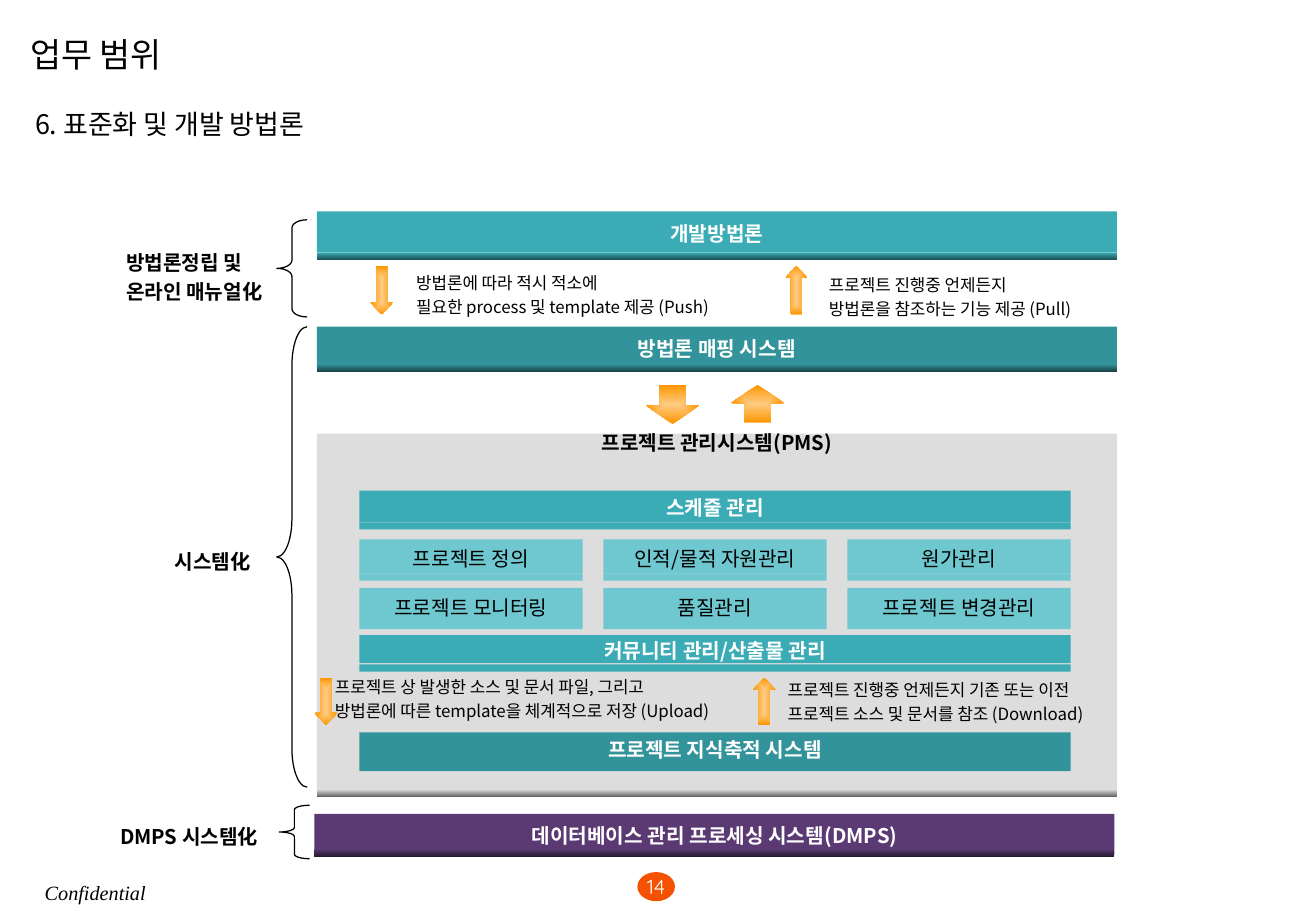
from dataclasses import dataclass

from lxml import etree
from pptx import Presentation
from pptx import util as u
from pptx.dml import color
from pptx.enum import shapes, text
from pptx.oxml import ns

SANS = "Noto Sans CJK KR"
TEAL, DEEP, PALE = "3BACB5", "32939A", "6FC8D0"
GRAY, PLUM, WHITE, BLACK = "DDDDDD", "5B3A74", "FFFFFF", "000000"
KIND = shapes.MSO_SHAPE
Box = tuple[float, float, float, float]


@dataclass
class Style:
    size: float = 12
    ink: str = BLACK
    bold: bool = False
    slant: bool = False
    face: str = SANS
    space: float = 1.2


@dataclass
class Bar:
    words: str
    box: Box
    total: float
    fill: str
    style: Style
    dark: str = ""


@dataclass
class Arrow:
    box: Box
    up: bool
    head: float = 0.53


@dataclass
class Label:
    words: str
    box: Box
    style: Style


HEAD = Style(ink=WHITE, bold=True, space=1.1)
SIDE = Style(bold=True)
NOTE = Style(size=10)
CELL = Style()

LEFT, WIDE = 2.61, 6.59
INNER, SPAN = 2.96, 5.86
CELL_W = 1.84
STEP_X, STEP_Y = (SPAN - CELL_W) / 2, 0.4
LIP = 0.06

PANEL = Bar("프로젝트 관리시스템(PMS)", (LEFT, 3.57, WIDE, 2.99), 2.99, GRAY,
            Style(bold=True, space=1), "656565")
BARS = [
    Bar("개발방법론", (LEFT, 1.74, WIDE, 0.34), 0.4, TEAL, HEAD, "1B4F53"),
    Bar("방법론 매핑 시스템", (LEFT, 2.69, WIDE, 0.34), 0.37, DEEP, HEAD, "174346"),
    Bar("스케줄 관리", (INNER, 4.04, SPAN, 0.26), 0.32, TEAL, HEAD),
    Bar("커뮤니티 관리/산출물 관리", (INNER, 5.23, SPAN, 0.23), 0.3, TEAL, HEAD),
    Bar("프로젝트 지식축적 시스템", (INNER, 6.03, SPAN, 0.26), 0.32, DEEP, HEAD),
    Bar("데이터베이스 관리 프로세싱 시스템(DMPS)", (2.59, 6.7, WIDE, 0.34), 0.35,
        PLUM, HEAD, "291A35"),
]
GRID = [
    ["프로젝트 정의", "인적/물적 자원관리", "원가관리"],
    ["프로젝트 모니터링", "품질관리", "프로젝트 변경관리"],
]
ARROWS = [
    Arrow((3.05, 2.19, 0.19, 0.4), False),
    Arrow((6.47, 2.19, 0.18, 0.4), True),
    Arrow((5.32, 3.17, 0.44, 0.32), False, 0.48),
    Arrow((6.02, 3.17, 0.44, 0.31), True, 0.48),
    Arrow((2.59, 5.58, 0.19, 0.39), False),
    Arrow((6.2, 5.58, 0.19, 0.39), True),
]
BRACES: list[Box] = [
    (2.28, 1.81, 0.25, 0.8),
    (2.28, 2.69, 0.25, 3.79),
    (2.3, 6.63, 0.25, 0.44),
]
LABELS = [
    Label("업무 범위", (0.15, 0.23, 8.32, 0.49), Style(size=20, space=1)),
    Label("6. 표준화 및 개발 방법론", (0.19, 0.84, 5.89, 0.37), Style(size=16, space=1)),
    Label("방법론에 따라 적시 적소에\n필요한 process 및 template 제공 (Push)",
          (3.33, 2.16, 2.84, 0.5), NOTE),
    Label("프로젝트 진행중 언제든지\n방법론을 참조하는 기능 제공 (Pull)",
          (6.73, 2.18, 2.38, 0.5), NOTE),
    Label("프로젝트 상 발생한 소스 및 문서 파일, 그리고\n"
          "방법론에 따른 template을 체계적으로 저장 (Upload)",
          (2.66, 5.49, 3.68, 0.5), NOTE),
    Label("프로젝트 진행중 언제든지 기존 또는 이전\n프로젝트 소스 및 문서를 참조 (Download)",
          (6.39, 5.51, 2.84, 0.5), NOTE),
    Label("방법론정립 및\n온라인 매뉴얼化", (0.94, 1.97, 1.37, 0.58), SIDE),
    Label("시스템化", (1.34, 4.43, 0.85, 0.34), SIDE),
    Label("DMPS 시스템化", (0.89, 6.7, 1.42, 0.34), SIDE),
    Label("Confidential", (0.27, 7.2, 1.22, 0.3),
          Style(slant=True, face="Times New Roman", space=1)),
]


def rgb(code: str) -> color.RGBColor:
    return color.RGBColor.from_string(code)


def write(frame, words: str, style: Style, align=text.PP_ALIGN.LEFT) -> None:
    frame.text = words
    for para in frame.paragraphs:
        para.alignment = align
        para.line_spacing = style.space
        font = para.font
        font.size = u.Pt(style.size)
        font.bold = style.bold
        font.italic = style.slant
        font.name = style.face
        font.color.rgb = rgb(style.ink)
        props = para._p.pPr.find(ns.qn("a:defRPr"))
        etree.SubElement(props, ns.qn("a:ea"), {"typeface": style.face})


def shape(slide, kind: KIND, box: Box, fill: str = ""):
    item = slide.shapes.add_shape(kind, *map(u.Inches, box))
    item.shadow.inherit = False
    item.line.fill.background()
    if fill:
        item.fill.solid()
        item.fill.fore_color.rgb = rgb(fill)
    else:
        item.fill.background()
    return item


def blend(item, first: str, last: str) -> None:
    item.fill.gradient()
    item.fill.gradient_angle = 270
    for stop, code in zip(item.fill.gradient_stops, (first, last)):
        stop.color.rgb = rgb(code)


def center(item, words: str, style: Style) -> None:
    frame = item.text_frame
    frame.word_wrap = False
    frame.vertical_anchor = text.MSO_ANCHOR.MIDDLE
    write(frame, words, style, text.PP_ALIGN.CENTER)


def draw_bar(slide, bar: Bar):
    x, y, w, _ = bar.box
    item = shape(slide, KIND.RECTANGLE, bar.box, bar.fill)
    center(item, bar.words, bar.style)
    strip = shape(slide, KIND.RECTANGLE, (x, y + bar.total - LIP, w, LIP), bar.fill)
    if bar.dark:
        blend(strip, bar.fill, bar.dark)
    return item


def draw_arrow(slide, arrow: Arrow) -> None:
    item = shape(slide, KIND.UP_ARROW if arrow.up else KIND.DOWN_ARROW, arrow.box)
    item.adjustments[0] = 0.5
    item.adjustments[1] = arrow.head
    blend(item, "FECB82", "FF9600")
    grad = item._element.spPr.find(ns.qn("a:gradFill"))
    grad.remove(grad.find(ns.qn("a:lin")))
    glow = etree.SubElement(grad, ns.qn("a:path"), {"path": "rect"})
    etree.SubElement(glow, ns.qn("a:fillToRect"), dict.fromkeys("ltrb", "50000"))


def draw_brace(slide, box: Box) -> None:
    item = shape(slide, KIND.LEFT_BRACE, box)
    item.adjustments[0] = box[3] / 12 / box[2]
    item.line.color.rgb = rgb(BLACK)
    item.line.width = u.Pt(0.75)


def draw_label(slide, label: Label) -> None:
    frame = slide.shapes.add_textbox(*map(u.Inches, label.box)).text_frame
    frame.word_wrap = True
    write(frame, label.words, label.style)


def main() -> None:
    deck = Presentation()
    deck.slide_width, deck.slide_height = u.Inches(10.84), u.Inches(7.5)
    slide = deck.slides.add_slide(deck.slide_layouts[6])
    panel = draw_bar(slide, PANEL).text_frame
    panel.vertical_anchor = text.MSO_ANCHOR.TOP
    panel.margin_top = u.Inches(-0.03)
    for bar in BARS:
        draw_bar(slide, bar)
    for row, line in enumerate(GRID):
        for col, words in enumerate(line):
            box = (INNER + col * STEP_X, 4.44 + row * STEP_Y, CELL_W, 0.28)
            draw_bar(slide, Bar(words, box, 0.34, PALE, CELL))
    for arrow in ARROWS:
        draw_arrow(slide, arrow)
    for brace in BRACES:
        draw_brace(slide, brace)
    for label in LABELS:
        draw_label(slide, label)
    badge = shape(slide, KIND.OVAL, (5.25, 7.18, 0.31, 0.24), "F45100")
    center(badge, "14", Style(ink=WHITE, face="Quicksand", space=1))
    deck.save("out.pptx")


if __name__ == "__main__":
    main()
